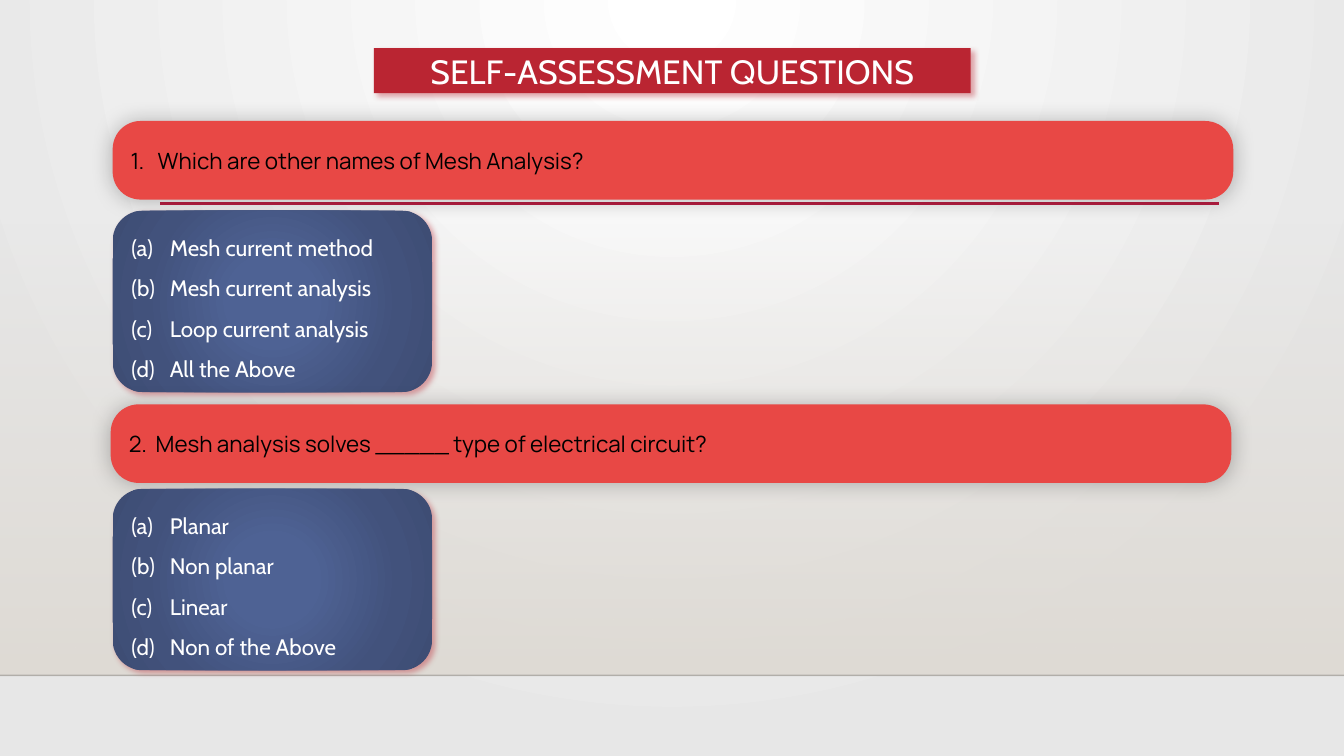
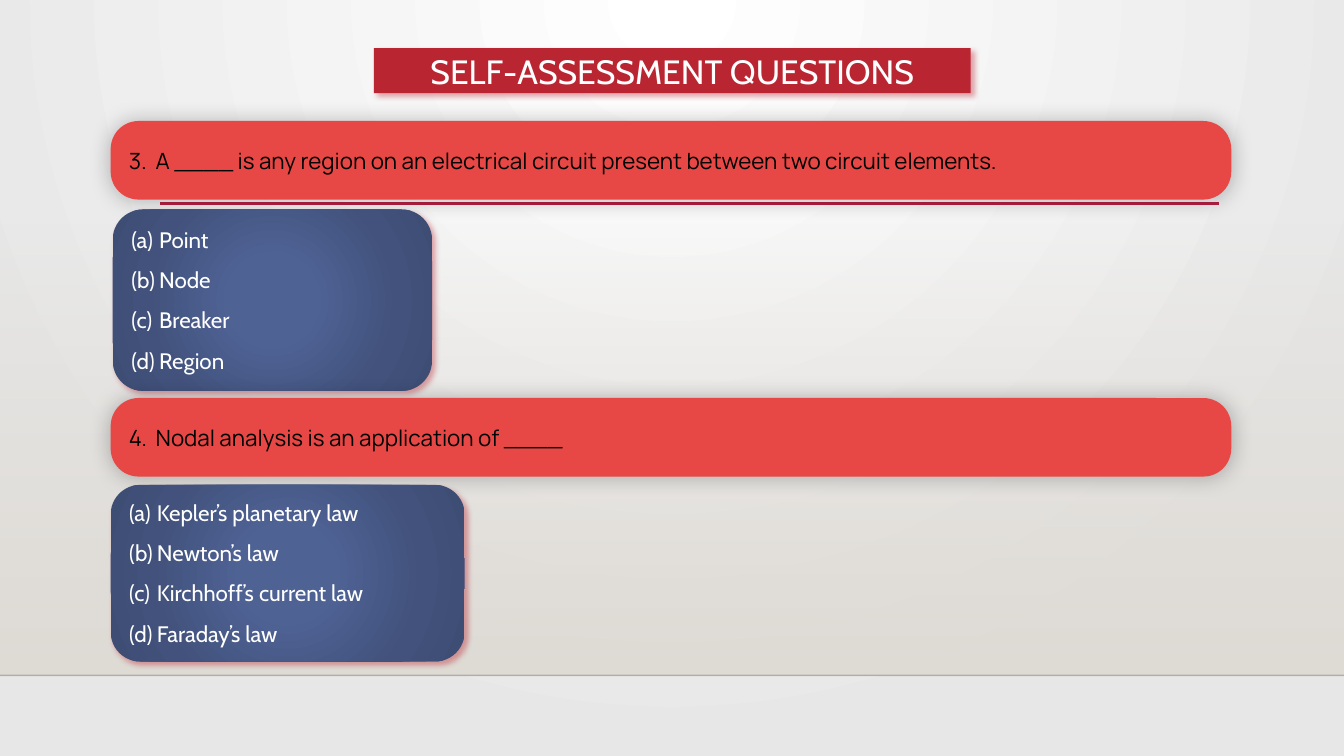
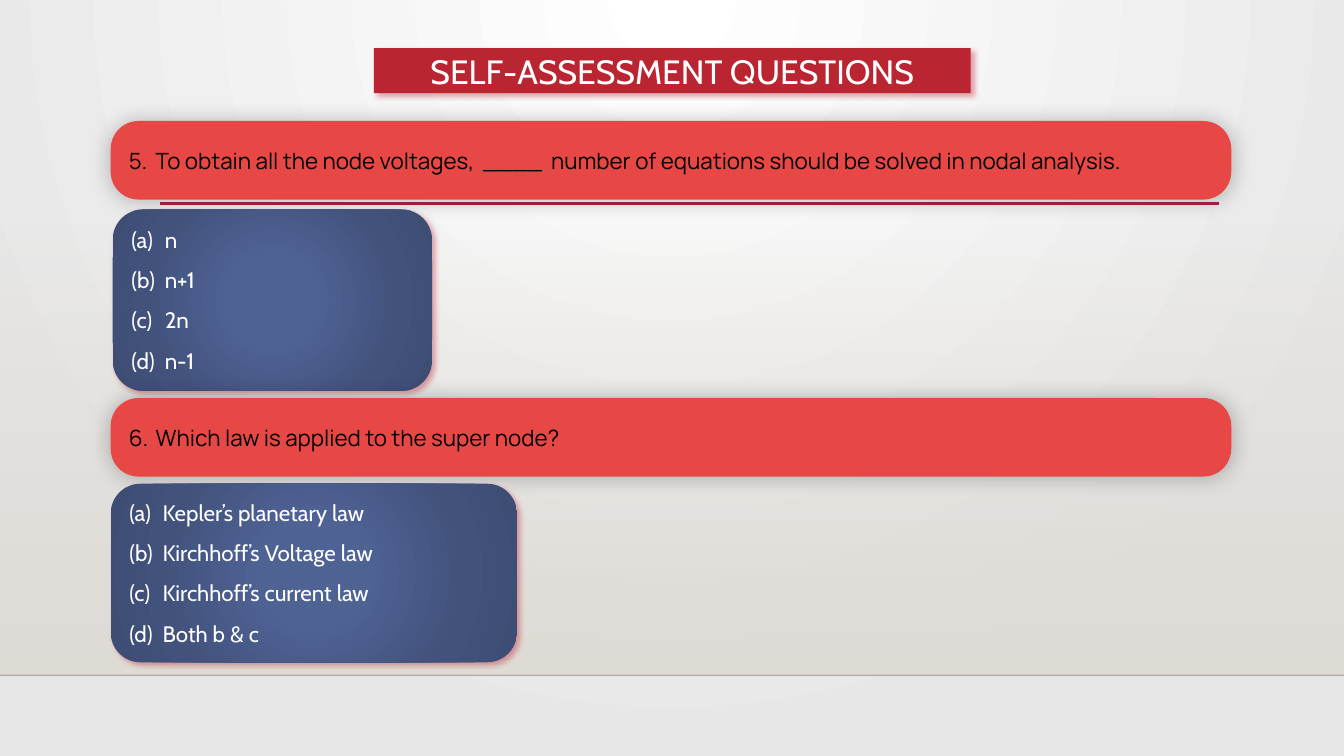
import pptx
import pptx.dml.color
import pptx.enum.shapes
import pptx.enum.text
import pptx.oxml
import pptx.oxml.ns
import pptx.util
from lxml import etree

Cm, Pt = pptx.util.Cm, pptx.util.Pt
qn = pptx.oxml.ns.qn
MIDDLE = pptx.enum.text.MSO_ANCHOR.MIDDLE
ROUNDED = pptx.enum.shapes.MSO_SHAPE.ROUNDED_RECTANGLE

RED_SHADOW = ("BA2532", 40, 4, 3, 45)
STYLES = {
    "title": dict(stops=["BA2532"], shadow=RED_SHADOW, font="Cabin", size=24, colour="FFFFFF"),
    "question": dict(stops=["E84845"], shadow=("000000", 25, 15, 0, 0), font="Manrope",
                     size=16, colour="000000", bullet="arabicPeriod", spacing=1.0),
    "answers": dict(stops=[(0, "4E6294", 100), (23, "4E6294", 100), (69, "42527C", 100),
                           (97, "3E4D74", 100)],
                    shadow=RED_SHADOW, font="Cabin", size=16, colour="FFFFFF",
                    bullet="alphaLcParenBoth", spacing=1.5),
}
QUESTION_INDENT = 0.68

# Each slide: answer indent, bottom inset of the answers, then its two questions.
# Each question: box, text, answer box, answers.
SLIDES = [
    (0.97, 0.13, [
        ((2.84, 3.05, 28.24, 1.98), "Which are other names of Mesh Analysis?",
         (2.84, 5.31, 8.05, 4.57),
         ["Mesh current method", "Mesh current analysis", "Loop current analysis",
          "All the Above"]),
        ((2.79, 10.19, 28.24, 1.98), "Mesh analysis solves _____ type of electrical circuit?",
         (2.84, 12.32, 8.05, 4.57),
         ["Planar", "Non planar", "Linear", "Non of the Above"]),
    ]),
    (0.7, 0.48, [
        ((2.79, 3.05, 28.24, 1.98),
         "A ____ is any region on an electrical circuit present between two circuit elements.",
         (2.84, 5.28, 8.05, 4.57),
         ["Point", "Node", "Breaker", "Region"]),
        ((2.79, 10.03, 28.24, 1.98), "Nodal analysis is an application of ____",
         (2.79, 12.22, 8.92, 4.45),
         ["Kepler’s planetary law", "Newton’s law", "Kirchhoff’s current law",
          "Faraday’s law"]),
    ]),
    (0.84, 0.48, [
        ((2.79, 3.05, 28.24, 1.98),
         "To obtain all the node voltages,  ____  number of equations should be solved "
         "in nodal analysis.",
         (2.84, 5.28, 8.05, 4.57),
         ["n", "n+1", "2n", "n-1"]),
        ((2.79, 10.03, 28.24, 1.98), "Which law is applied to the super node?",
         (2.79, 12.19, 10.24, 4.5),
         ["Kepler’s planetary law", "Kirchhoff’s Voltage law", "Kirchhoff’s current law",
          "Both b & c"]),
    ]),
]


def paint(fill, stops, focus=None):
    """Fill with one hex colour, or with (position, hex, alpha) stops.

    The gradient spreads from the focus rectangle, or runs downwards without one.
    """
    if len(stops) == 1:
        fill.solid()
        fill.fore_color.rgb = pptx.dml.color.RGBColor.from_string(stops[0])
        return
    fill.gradient()
    grad = fill._fill._gradFill
    for child in list(grad):
        grad.remove(child)
    stop_list = etree.SubElement(grad, qn("a:gsLst"))
    for position, colour, alpha in stops:
        stop = etree.SubElement(stop_list, qn("a:gs"), pos=str(position * 1000))
        clr = etree.SubElement(stop, qn("a:srgbClr"), val=colour)
        etree.SubElement(clr, qn("a:alpha"), val=str(alpha * 1000))
    if focus:
        shade = etree.SubElement(grad, qn("a:path"), path="circle")
        etree.SubElement(shade, qn("a:fillToRect"),
                         {side: str(value * 1000) for side, value in zip("ltrb", focus)})
    else:
        etree.SubElement(grad, qn("a:lin"), ang="5400000", scaled="0")


def dress(sp, style, lines):
    """Give a rounded box its fill, shadow and one paragraph per line."""
    paint(sp.fill, style["stops"], (50, 50, 50, 50))
    sp.line.fill.background()
    sp.shadow.inherit = False
    colour, alpha, blur, dist, angle = style["shadow"]
    effects = sp._element.spPr.find(qn("a:effectLst"))
    shadow = etree.SubElement(effects, qn("a:outerShdw"), blurRad=str(Pt(blur)),
                              dist=str(Pt(dist)), dir=str(angle * 60000), rotWithShape="0")
    clr = etree.SubElement(shadow, qn("a:srgbClr"), val=colour)
    etree.SubElement(clr, qn("a:alpha"), val=str(alpha * 1000))
    tf = sp.text_frame
    tf.word_wrap = True
    tf.vertical_anchor = MIDDLE
    for i, line in enumerate(lines):
        p = tf.add_paragraph() if i else tf.paragraphs[0]
        r = p.add_run()
        r.text = line
        for name, value in dict(name=style["font"], size=Pt(style["size"]), bold=False).items():
            setattr(r.font, name, value)
        paint(r.font.fill, [style["colour"]])


prs = pptx.Presentation()
prs.slide_width, prs.slide_height = Cm(33.87), Cm(19.05)

# Shared layout: background, lower band and two rules
layout = prs.slide_layouts.get_by_name("Title Only")
paint(layout.background.fill, [(0, "FFFFFF", 100), (100, "E7E7E7", 100)], (43, 0, 43, 100))
for ph in list(layout.placeholders):
    if ph.placeholder_format.type != pptx.enum.shapes.PP_PLACEHOLDER.TITLE:
        ph._element.getparent().remove(ph._element)

slides = [prs.slides.add_slide(layout) for _ in SLIDES]
shapes = slides[0].shapes
band = shapes.add_shape(pptx.enum.shapes.MSO_SHAPE.RECTANGLE,
                        0, Cm(5.61), prs.slide_width, Cm(11.41))
band.shadow.inherit = False
band.line.fill.background()
paint(band.fill, [(0, "DFDBD5", 0), (100, "DFDBD5", 100)])
shared = [band]
for left, right, y, colour, alpha, width in [(0, 33.87, 17.02, "000001", 20, 1),
                                             (4.04, 30.73, 5.13, "B71E42", 100, 2.5)]:
    rule = shapes.add_connector(pptx.enum.shapes.MSO_CONNECTOR.STRAIGHT,
                                Cm(left), Cm(y), Cm(right), Cm(y))
    rule.line.width = Pt(width)
    paint(rule.line.fill, [colour])
    spPr = rule._element.spPr
    etree.SubElement(next(spPr.iter(qn("a:srgbClr"))), qn("a:alpha"), val=str(alpha * 1000))
    etree.SubElement(spPr, qn("a:effectLst"))
    shared.append(rule)
for sp in shared:
    layout.shapes._spTree.append(sp._element)

number = 0
for s, (answer_indent, bottom, questions) in zip(slides, SLIDES):
    title = s.shapes.title
    for name, value in dict(left=9.42, top=1.21, width=15.04, height=1.14).items():
        setattr(title, name, Cm(value))
    geometry = etree.SubElement(title._element.spPr, qn("a:prstGeom"), prst="roundRect")
    etree.SubElement(geometry, qn("a:avLst"))
    dress(title, STYLES["title"], ["SELF-ASSESSMENT QUESTIONS"])
    title.text_frame.auto_size = pptx.enum.text.MSO_AUTO_SIZE.NONE
    title.text_frame.paragraphs[0].alignment = pptx.enum.text.PP_ALIGN.CENTER

    for question_box, question, answer_box, answers in questions:
        number += 1
        for kind, box, lines, indent, start in [
                ("question", question_box, [question], QUESTION_INDENT, number),
                ("answers", answer_box, answers, answer_indent, 1)]:
            style = STYLES[kind]
            sp = s.shapes.add_shape(ROUNDED, *[Cm(v) for v in box])
            dress(sp, style, lines)
            if kind == "question":
                sp.adjustments[0] = 0.356
            else:
                sp.text_frame.margin_bottom = Cm(bottom)
            for p in sp.text_frame.paragraphs:
                p.alignment = pptx.enum.text.PP_ALIGN.LEFT
                p.line_spacing = style["spacing"]
                pPr = p._p.get_or_add_pPr()
                pPr.set("marL", str(Cm(indent)))
                pPr.set("indent", str(-Cm(indent)))
                etree.SubElement(pPr, qn("a:buAutoNum"), type=style["bullet"],
                                 startAt=str(start))

prs.save("out.pptx")
